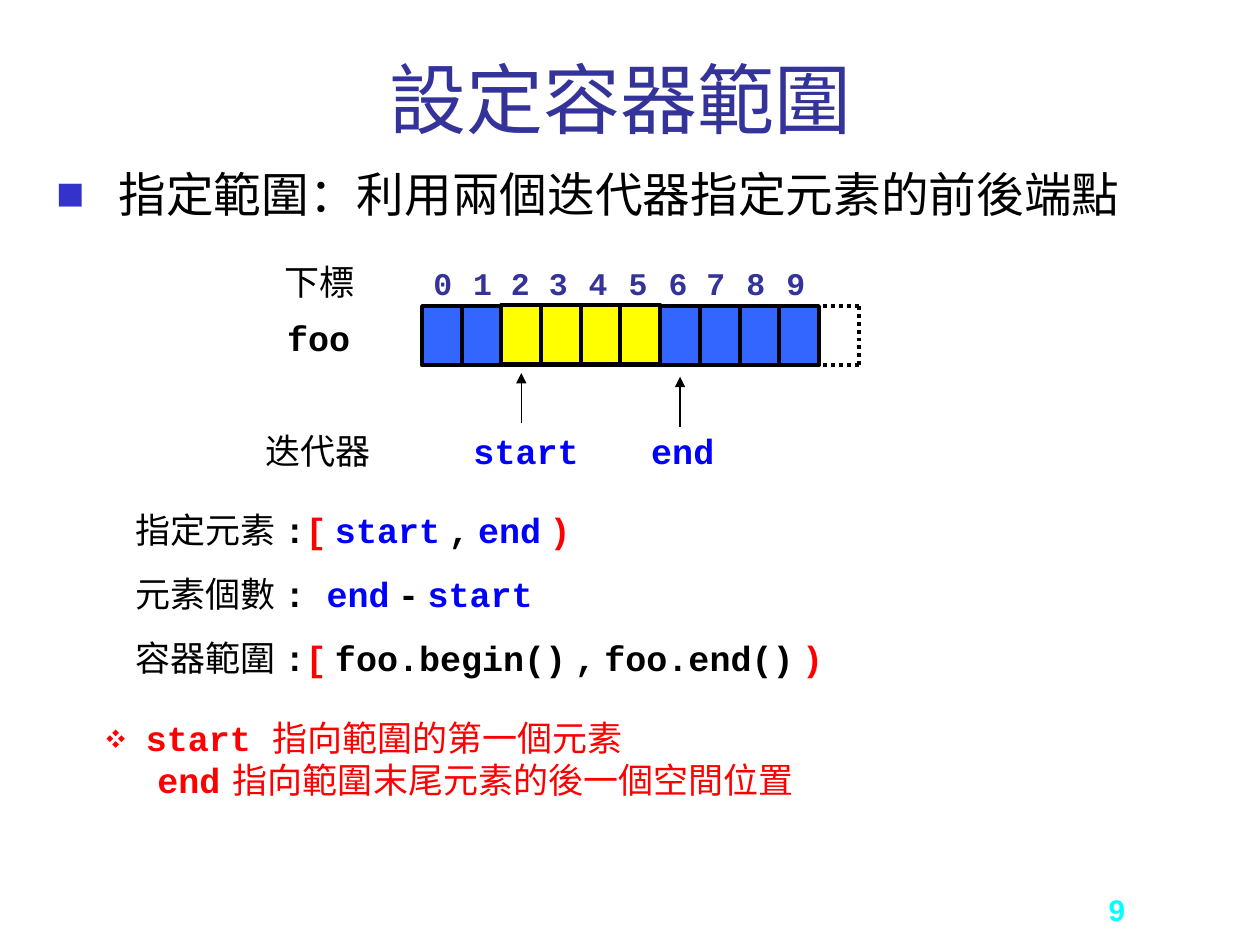
from lxml.etree import SubElement
from pptx import Presentation
from pptx.dml.color import RGBColor
from pptx.enum.dml import MSO_LINE_DASH_STYLE as Dash
from pptx.enum.shapes import MSO_CONNECTOR as Connector, MSO_SHAPE as Shape
from pptx.enum.text import MSO_ANCHOR as Anchor, MSO_AUTO_SIZE as AutoSize, PP_ALIGN as Align
from pptx.oxml.ns import qn
from pptx.util import Inches, Pt

CJK, MONO = "Noto Sans CJK SC", "Courier New"
BLACK, RED, BLUE, NAVY = "000000", "FF0000", "0000FF", "333399"
CELL, CELLS, PICKED = 0.315, 10, range(2, 6)
LEFT, TOP, BOTTOM = 3.35, 2.43, 2.9
LABEL_HEIGHT = 0.44


def rgb(value):
    return RGBColor.from_string(value)


def column(index):
    return LEFT + index * CELL


def apply(target, values):
    for name, value in values.items():
        setattr(target, name, value)


def place(box, *area):
    apply(box, dict(zip(("left", "top", "width", "height"), map(Inches, area))))


def add_span(para, text, color=BLACK, size=20, bold=True, name=MONO):
    span = para.add_run()
    span.text = text
    apply(span.font, {"size": Pt(size), "bold": bold, "name": name})
    span.font.color.rgb = rgb(color)
    SubElement(span.font._element, qn("a:ea"), typeface=CJK)


def fill_para(para, spans, **values):
    apply(para, values)
    for span in spans:
        add_span(para, *span)


def set_indent(para, margin, first):
    props = para._p.get_or_add_pPr()
    props.set("marL", str(Inches(margin)))
    props.set("indent", str(Inches(first)))
    return props


def add_bullet(para, char, color, percent, indent):
    props = set_indent(para, indent, -indent)
    SubElement(SubElement(props, qn("a:buClr")), qn("a:srgbClr"), val=color)
    SubElement(props, qn("a:buSzPct"), val=str(percent * 1000))
    SubElement(props, qn("a:buFont"), typeface=CJK)
    SubElement(props, qn("a:buChar"), char=char)


def add_tab(para, position):
    tabs = SubElement(para._p.get_or_add_pPr(), qn("a:tabLst"))
    SubElement(tabs, qn("a:tab"), pos=str(Inches(position)), algn="l")


def add_box(page, area, spans, wrap=True, anchor=Anchor.TOP):
    box = page.shapes.add_textbox(*map(Inches, area))
    apply(box.text_frame, {"word_wrap": wrap, "vertical_anchor": anchor})
    fill_para(box.text_frame.paragraphs[0], spans)
    return box


def add_cell(page, index, span, top, color):
    area = (column(index), top, span * CELL, BOTTOM - TOP)
    cell = page.shapes.add_shape(Shape.RECTANGLE, *map(Inches, area))
    cell.shadow.inherit = False
    cell.fill.solid()
    cell.fill.fore_color.rgb = rgb(color)
    cell.line.color.rgb = rgb(BLACK)
    cell.line.width = Pt(2.25)


def add_line(page, start, end, width=2.25, dash=None, arrow=False):
    line = page.shapes.add_connector(Connector.STRAIGHT, *map(Inches, start + end))
    line.line.color.rgb = rgb(BLACK)
    apply(line.line, {"width": Pt(width), "dash_style": dash})
    if arrow:
        SubElement(line.line._get_or_add_ln(), qn("a:tailEnd"), type="triangle")
    SubElement(line._element.spPr, qn("a:effectLst"))


def add_heading(page):
    title, body = page.placeholders
    place(title, 0.43, -0.06, 9, 1.25)
    place(body, 0.35, 1.31, 9, 0.71)
    apply(title.text_frame, {"vertical_anchor": Anchor.BOTTOM, "auto_size": AutoSize.NONE})
    apply(body.text_frame, {"auto_size": AutoSize.NONE})
    fill_para(title.text_frame.paragraphs[0],
              [("設定容器範圍", NAVY, 44, False, CJK)], alignment=Align.CENTER)
    para = body.text_frame.paragraphs[0]
    add_bullet(para, "■", "3333CC", 60, 0.49)
    fill_para(para, [("指定範圍：利用兩個迭代器指定元素的前後端點", BLACK, 27.2, False, CJK)],
              line_spacing=0.9, space_before=Pt(0))


def add_container(page):
    add_cell(page, 0, CELLS, TOP, "3366FF")
    for index in PICKED:
        add_cell(page, index, 1, TOP - 0.01, "FFFF00")
    for index in range(1, CELLS + 1):
        add_line(page, (column(index), TOP), (column(index), BOTTOM))
    edge = column(CELLS + 1)
    add_line(page, (edge, TOP), (edge, BOTTOM), dash=Dash.ROUND_DOT)
    for level in (TOP, BOTTOM):
        add_line(page, (edge, level), (column(CELLS) - 0.03, level), dash=Dash.ROUND_DOT)


def add_labels(page):
    for left, top, width, text, color, bold in (
            (2.16, 2.02, 0.87, "下標", BLACK, False),
            (2.18, 2.46, 0.98, "foo", BLACK, True),
            (2.01, 3.36, 1.07, "迭代器", BLACK, False),
            (3.66, 3.36, 1.1, "start", BLUE, True),
            (5.07, 3.36, 0.79, "end", BLUE, True)):
        add_box(page, (left, top, width, LABEL_HEIGHT), [(text, color, 20, bold)])
    digits = []
    for group in ("0", "1 2 3", "4", "5", "6 7", "8", "9"):
        digits += [(group, NAVY, 18), (" ", NAVY, 20)]
    add_box(page, (3.34, 2.02, CELLS * CELL, LABEL_HEIGHT), digits[:-1], wrap=False)
    for index, base in ((2.5, 3.36), (6.5, 3.39)):
        add_line(page, (column(index), base), (column(index), base - 0.4), 0.75, arrow=True)


def add_ranges(page):
    gap = (" ", BLACK, 8)
    comma, opening, closing = (",", BLACK), ("[", RED), (")", RED)
    start, end = ("start", BLUE), ("end", BLUE)
    rows = (
        ("指定元素", [(":",), opening, gap, start, gap, comma, gap, end, gap, closing]),
        ("元素個數", [(": ",), end, gap, ("-",), gap, start]),
        ("容器範圍", [(":",), opening, gap, ("foo.begin()",), gap, comma, gap,
                  ("foo.end()",), gap, closing]))
    frame = add_box(page, (0.98, 3.99, 7.64, 1.45), []).text_frame
    for number, (label, spans) in enumerate(rows):
        para = frame.add_paragraph() if number else frame.paragraphs[0]
        add_tab(para, 1.18)
        fill_para(para, [(label + "\t", BLACK, 20, False)] + spans,
                  space_before=Pt(12.5 if number else 0))


def add_notes(page):
    box = add_box(page, (0.75, 5.64, 6.73, 0.77), [])
    box.fill.solid()
    box.fill.fore_color.rgb = rgb("FFFFFF")
    first = box.text_frame.paragraphs[0]
    add_bullet(first, "❖", RED, 55, 0.31)
    fill_para(first, [("start ", RED), ("指向範圍的第一個元素", RED, 20, False)])
    second = box.text_frame.add_paragraph()
    set_indent(second, 0, 0.4)
    add_tab(second, 1.42)
    fill_para(second, [("end\t", RED), ("指向範圍末尾元素的後一個空間位置", RED, 20, False)])


def main():
    deck = Presentation()
    apply(deck, {"slide_width": Inches(10), "slide_height": Inches(7.5)})
    page = deck.slides.add_slide(deck.slide_layouts[1])
    add_heading(page)
    add_box(page, (8.7, 7.01, 0.76, 0.4), [("9", "00FFFF", 17, True, "Arial")],
            anchor=Anchor.BOTTOM)
    add_container(page)
    add_labels(page)
    add_ranges(page)
    add_notes(page)
    deck.save("out.pptx")


if __name__ == "__main__":
    main()
